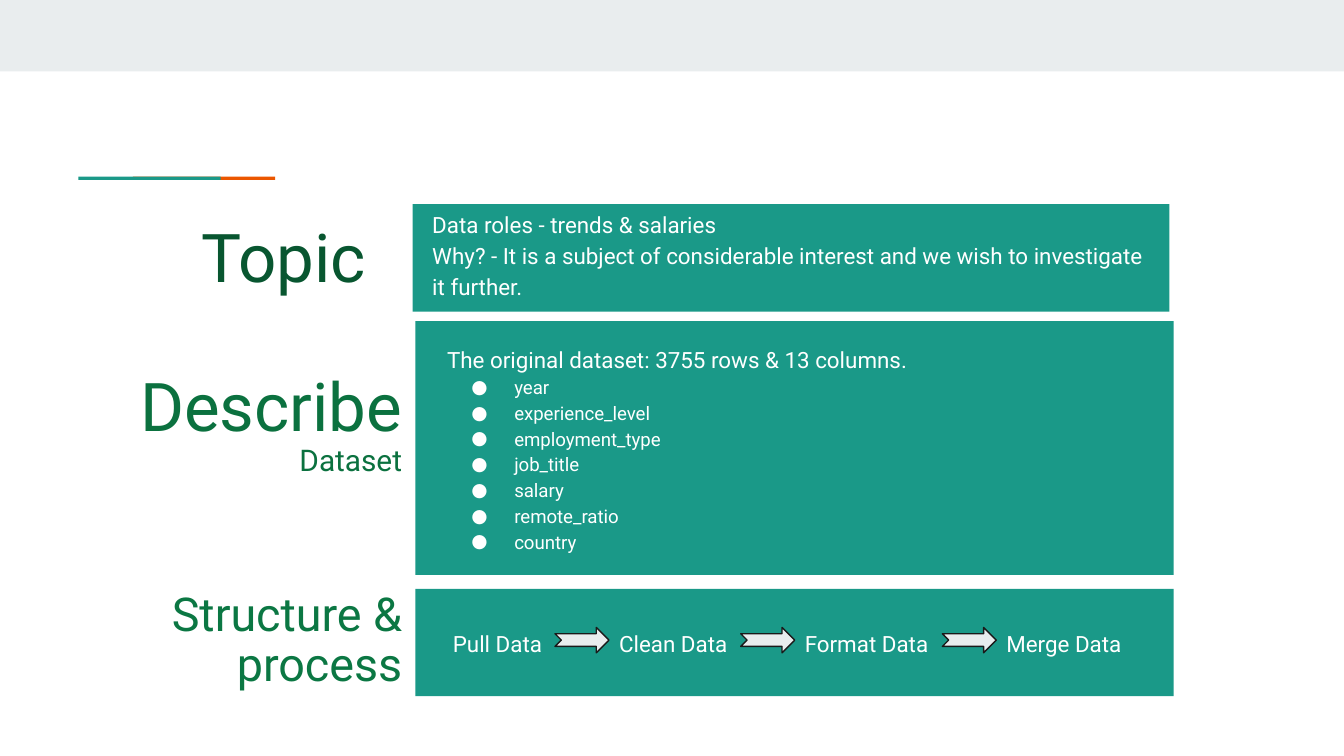
from dataclasses import dataclass

from lxml import etree
from pptx import Presentation
from pptx import util as u
from pptx.dml import color
from pptx.enum import shapes, text
from pptx.oxml import ns

FONT = "Roboto"
TEAL, ORANGE, MIST, INK, WHITE = "1A9988", "EB5600", "E9EDEE", "1A1A1A", "FFFFFF"
INSET = 0.25
ARROW_LEFTS = [10.49, 14.0, 17.81]
ARROW_TO_STEP = 1.21


@dataclass
class Box:
    left: float
    top: float
    width: float
    height: float

    def lengths(self) -> list:
        return [u.Cm(value) for value in (self.left, self.top, self.width, self.height)]


@dataclass
class Line:
    content: str
    size: int
    bullet: bool = False


@dataclass
class Section:
    label_box: Box
    label: list[Line]
    label_color: str
    panel: Box
    body_box: Box
    body: list[Line]


COLUMNS = ["year", "experience_level", "employment_type", "job_title", "salary", "remote_ratio", "country"]
STEPS = ["Pull Data", "Clean Data", "Format Data", "Merge Data"]

SECTIONS = [
    Section(
        Box(1.83, 4.06, 5.33, 1.75), [Line("Topic", 36)], "085630",
        Box(7.8, 3.86, 14.3, 2.03), Box(7.92, 3.99, 14.12, 1.6),
        [Line("Data roles - trends & salaries", 12),
         Line("Why? - It is a subject of considerable interest and we wish to investigate it further.", 12)],
    ),
    Section(
        Box(2.03, 6.83, 5.82, 2.44), [Line("Describe", 36), Line("Dataset", 16)], "0B713F",
        Box(7.85, 6.07, 14.33, 4.8), Box(8.2, 6.45, 13.61, 4.01),
        [Line("The original dataset: 3755 rows & 13 columns.", 12)]
        + [Line(column, 10, bullet=True) for column in COLUMNS],
    ),
    Section(
        Box(2.03, 11.25, 5.82, 1.75), [Line("Structure & process", 25)], "0B7743",
        Box(7.85, 11.13, 14.33, 2.03), Box(8.31, 11.68, 13.67, 0.91),
        [Line("\t".join(STEPS), 12)],
    ),
]


def rgb(value: str) -> color.RGBColor:
    return color.RGBColor.from_string(value)


def add_block(slide, kind, box: Box, fill: str, line: str | None = None):
    shape = slide.shapes.add_shape(kind, *box.lengths())
    shape.shadow.inherit = False
    shape.fill.solid()
    shape.fill.fore_color.rgb = rgb(fill)
    if line:
        shape.line.color.rgb = rgb(line)
        shape.line.width = u.Pt(0.75)
    else:
        shape.line.fill.background()
    return shape


def set_bullet(paragraph) -> None:
    properties = paragraph._p.get_or_add_pPr()
    properties.set("marL", str(u.Cm(1.27)))
    properties.set("indent", str(u.Cm(-0.81)))
    etree.SubElement(properties, ns.qn("a:buFont"), typeface=FONT)
    etree.SubElement(properties, ns.qn("a:buChar"), char="●")


def set_tabs(paragraph, positions: list[float]) -> None:
    tabs = etree.SubElement(paragraph._p.get_or_add_pPr(), ns.qn("a:tabLst"))
    for position in positions:
        etree.SubElement(tabs, ns.qn("a:tab"), pos=str(u.Cm(position)), algn="l")


def add_text(slide, box: Box, lines: list[Line], font_color: str, alignment, spacing: float):
    text_frame = slide.shapes.add_textbox(*box.lengths()).text_frame
    text_frame.word_wrap = True
    text_frame.vertical_anchor = text.MSO_ANCHOR.MIDDLE
    text_frame.margin_left = text_frame.margin_right = u.Cm(INSET)
    text_frame.text = "\n".join(line.content for line in lines)
    for paragraph, line in zip(text_frame.paragraphs, lines):
        paragraph.alignment = alignment
        paragraph.line_spacing = spacing
        if line.bullet:
            set_bullet(paragraph)
        for run in paragraph.runs:
            run.font.name = FONT
            run.font.size = u.Pt(line.size)
            run.font.color.rgb = rgb(font_color)
    return text_frame


def add_section(slide, section: Section):
    add_block(slide, shapes.MSO_SHAPE.RECTANGLE, section.panel, TEAL)
    add_text(slide, section.label_box, section.label, section.label_color, text.PP_ALIGN.RIGHT, 0.9)
    return add_text(slide, section.body_box, section.body, WHITE, text.PP_ALIGN.LEFT, 1.15)


def main() -> None:
    presentation = Presentation()
    presentation.slide_width, presentation.slide_height = u.Cm(25.4), u.Cm(14.29)
    slide = presentation.slides.add_slide(presentation.slide_layouts[6])

    add_block(slide, shapes.MSO_SHAPE.RECTANGLE, Box(0, 0, 25.4, 1.35), MIST)
    for left, fill in [(2.51, ORANGE), (1.48, TEAL)]:
        add_block(slide, shapes.MSO_SHAPE.RECTANGLE, Box(left, 3.34, 2.69, 0.06), fill)

    bodies = [add_section(slide, section) for section in SECTIONS]

    text_start = SECTIONS[-1].body_box.left + INSET
    set_tabs(bodies[-1].paragraphs[0], [left + ARROW_TO_STEP - text_start for left in ARROW_LEFTS])
    for left in ARROW_LEFTS:
        add_block(slide, shapes.MSO_SHAPE.NOTCHED_RIGHT_ARROW, Box(left, 11.86, 1.02, 0.48), MIST, INK)

    presentation.save("out.pptx")


if __name__ == "__main__":
    main()
